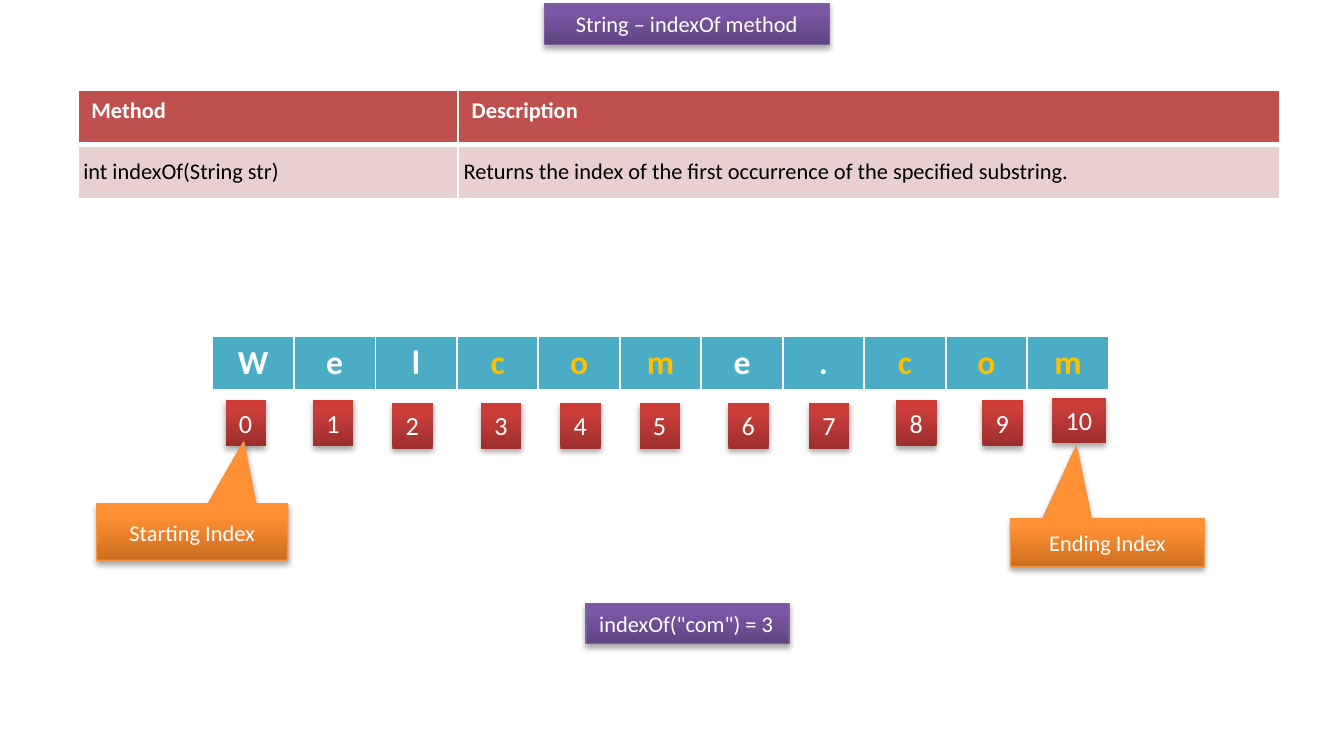
from copy import deepcopy

from lxml.etree import SubElement
from pptx import Presentation
from pptx.dml.color import RGBColor
from pptx.enum.shapes import MSO_SHAPE as Preset
from pptx.enum.text import MSO_ANCHOR as Anchor, MSO_AUTO_SIZE as AutoSize, PP_ALIGN as Align
from pptx.oxml.ns import qn
from pptx.util import Inches, Pt

WHITE, GOLD = "FFFFFF", "FFC000"
PURPLE = ("5F4480", "7B58A6", "7C57A8")
RED = ("9C2F2D", "CB3E3A", "CE3B37")
ORANGE = ("CC6E20", "FF9034", "FF9136")


def color(value):
    """Turn a hex string into a colour."""
    return RGBColor.from_string(value)


def write(frame, text, size, ink=WHITE, bold=False, align=Align.LEFT):
    """Put one formatted paragraph into a text frame."""
    paragraph = frame.paragraphs[0]
    paragraph.alignment = align
    run = paragraph.add_run()
    run.text = text
    for name, value in {"name": "Calibri", "size": Pt(size), "bold": bold}.items():
        setattr(run.font, name, value)
    run.font.color.rgb = color(ink)


def shade(fill, tones):
    """Fill with three tones running from bottom to top."""
    fill.gradient()
    fill.gradient_angle = 90
    first = fill.gradient_stops[0]._gs
    first.addnext(deepcopy(first))
    for stop, position, tone in zip(fill.gradient_stops, (0, 0.8, 1), tones):
        stop.position = position
        stop.color.rgb = color(tone)


def cast_shadow(shape):
    """Give a shape a soft shadow below it."""
    shape.shadow.inherit = False
    effects = shape._element.spPr.find(qn("a:effectLst"))
    outer = SubElement(effects, qn("a:outerShdw"), blurRad="40000", dist="23000",
                       dir="5400000", rotWithShape="0")
    black = SubElement(outer, qn("a:srgbClr"), val="000000")
    SubElement(black, qn("a:alpha"), val="35000")


def add_label(slide, box, text, tones, size=12, edge=None, preset=Preset.RECTANGLE,
              wrap=False, align=Align.LEFT, anchor=Anchor.TOP, fit=AutoSize.SHAPE_TO_FIT_TEXT):
    """Add a shaded, shadowed label in the given box."""
    label = slide.shapes.add_shape(preset, *map(Inches, box))
    shade(label.fill, tones)
    if edge:
        label.line.color.rgb = color(edge)
        label.line.width = Pt(0.75)
    else:
        label.line.fill.background()
    cast_shadow(label)
    frame = label.text_frame
    for name, value in {"word_wrap": wrap, "auto_size": fit, "vertical_anchor": anchor}.items():
        setattr(frame, name, value)
    write(frame, text, size, align=align)
    return label


def add_callout(slide, box, text, tip):
    """Add an orange callout whose tip is relative to its box."""
    callout = add_label(slide, box, text, ORANGE, edge="F69240",
                        preset=Preset.RECTANGULAR_CALLOUT, wrap=True,
                        align=Align.CENTER, anchor=Anchor.MIDDLE, fit=AutoSize.NONE)
    for index, offset in enumerate(tip):
        callout.adjustments[index] = offset


def paint_cell(cell, fill, top=1, bottom=3):
    """Fill a cell and rule it in white."""
    cell.fill.solid()
    cell.fill.fore_color.rgb = color(fill)
    properties = cell._tc.get_or_add_tcPr()
    for index, (side, width) in enumerate(zip("LRTB", (1, 1, top, bottom))):
        border = SubElement(properties, qn(f"a:ln{side}"), w=str(Pt(width)))
        solid = SubElement(border, qn("a:solidFill"))
        SubElement(solid, qn("a:srgbClr"), val=WHITE)
        properties.insert(index, border)


def add_grid(slide, box, rows, widths):
    """Add an empty table with the given column widths."""
    grid = slide.shapes.add_table(rows, len(widths), *map(Inches, box)).table
    for column, width in zip(grid.columns, widths):
        column.width = Inches(width)
    return grid


def add_methods(slide, box):
    """Add the table that describes the method."""
    grid = add_grid(slide, box, 2, (2.83, 6.11))
    headings = ("Method", "Description")
    details = ("int indexOf(String str)",
               "Returns the index of the first occurrence of the specified substring.")
    for column, (heading, detail) in enumerate(zip(headings, details)):
        head, body = grid.cell(0, column), grid.cell(1, column)
        paint_cell(head, "C0504D")
        write(head.text_frame, heading, 12, bold=True)
        paint_cell(body, "E8D0D0", top=3, bottom=1)
        body.vertical_anchor = Anchor.MIDDLE
        for side in ("left", "right", "top", "bottom"):
            setattr(body, f"margin_{side}", Inches(0.04))
        write(body.text_frame, detail, 12, ink="000000")


def add_letters(slide, box, word, match):
    """Add one cell per letter, with each match in gold."""
    grid = add_grid(slide, box, 1, [box[2] / len(word)] * len(word))
    for column, letter in enumerate(word):
        cell = grid.cell(0, column)
        paint_cell(cell, "4BACC6")
        matched = any(word.startswith(match, start)
                      for start in range(max(0, column - len(match) + 1), column + 1))
        write(cell.text_frame, letter, 18, GOLD if matched else WHITE, True, Align.CENTER)


def add_indexes(slide, left, top):
    """Add the numbered boxes below the letters."""
    offsets = ((0, 0.02), (0.65, 0.02), (1.24, 0.04), (1.9, 0.04), (2.49, 0.04), (3.08, 0.04),
               (3.74, 0.04), (4.34, 0.04), (4.99, 0.02), (5.63, 0.02), (6.15, 0))
    for number, (x, y) in enumerate(offsets):
        width = 0.3 if number < 10 else 0.4
        add_label(slide, (left + x, top + y, width, 0.34), str(number), RED, size=14)


def main():
    """Build the slide and save it."""
    deck = Presentation()
    deck.slide_width, deck.slide_height = Inches(10), Inches(5.5)
    slide = deck.slides.add_slide(deck.slide_layouts[6])
    add_label(slide, (4.05, 0.03, 2.12, 0.3), "String – indexOf method", PURPLE,
              edge="7D60A0", wrap=True, align=Align.CENTER)
    add_methods(slide, (0.58, 0.67, 8.94, 0.81))
    add_letters(slide, (1.58, 2.5, 6.67, 0.41), "Welcome.com", "com")
    add_indexes(slide, 1.68, 2.96)
    add_callout(slide, (0.72, 3.75, 1.42, 0.42), "Starting Index", (0.27, -1.6))
    add_callout(slide, (7.52, 3.86, 1.44, 0.36), "Ending Index", (-0.16, -2))
    add_label(slide, (4.36, 4.49, 1.51, 0.3), 'indexOf("com") = 3', PURPLE, edge="7D60A0")
    deck.save("out.pptx")


if __name__ == "__main__":
    main()
